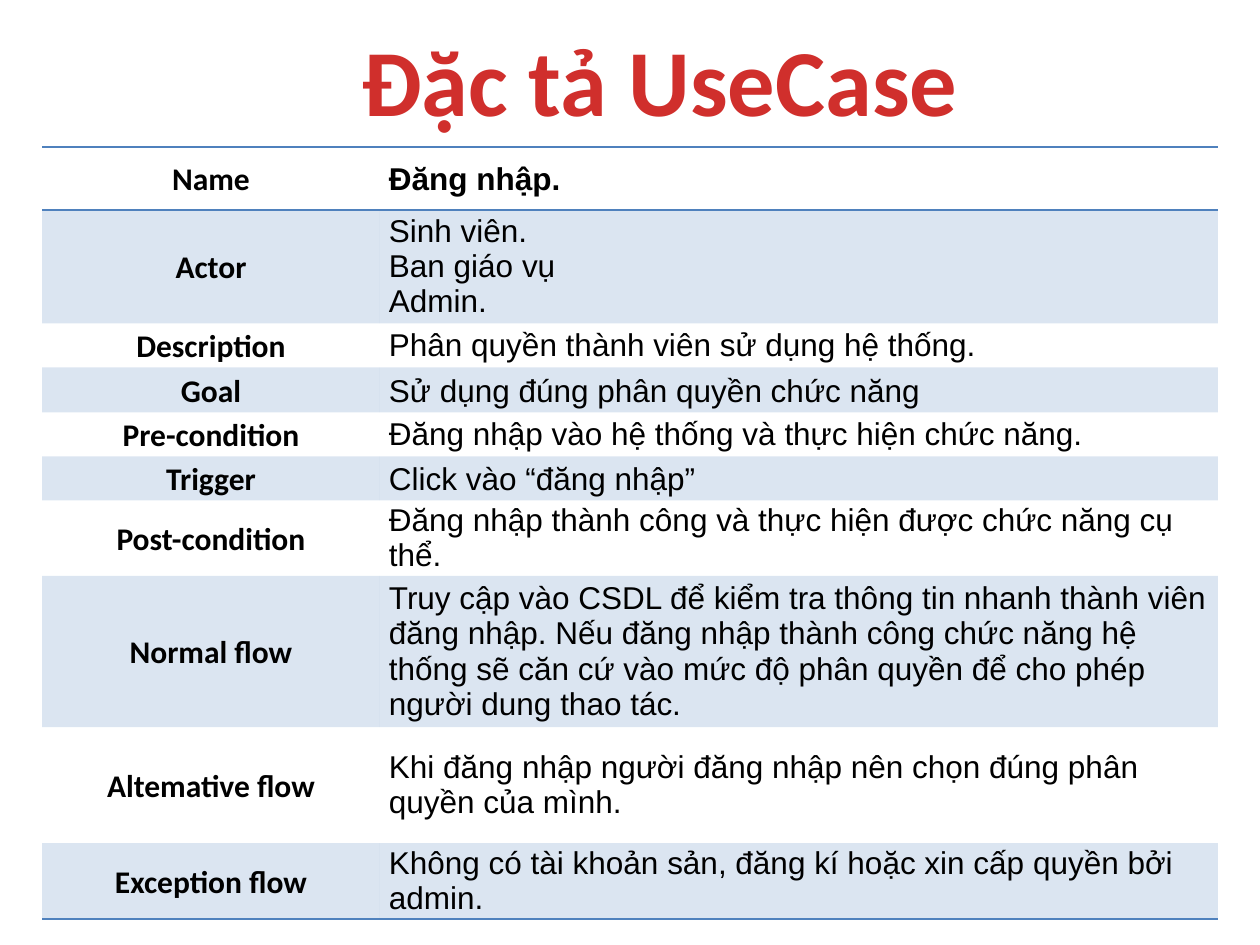
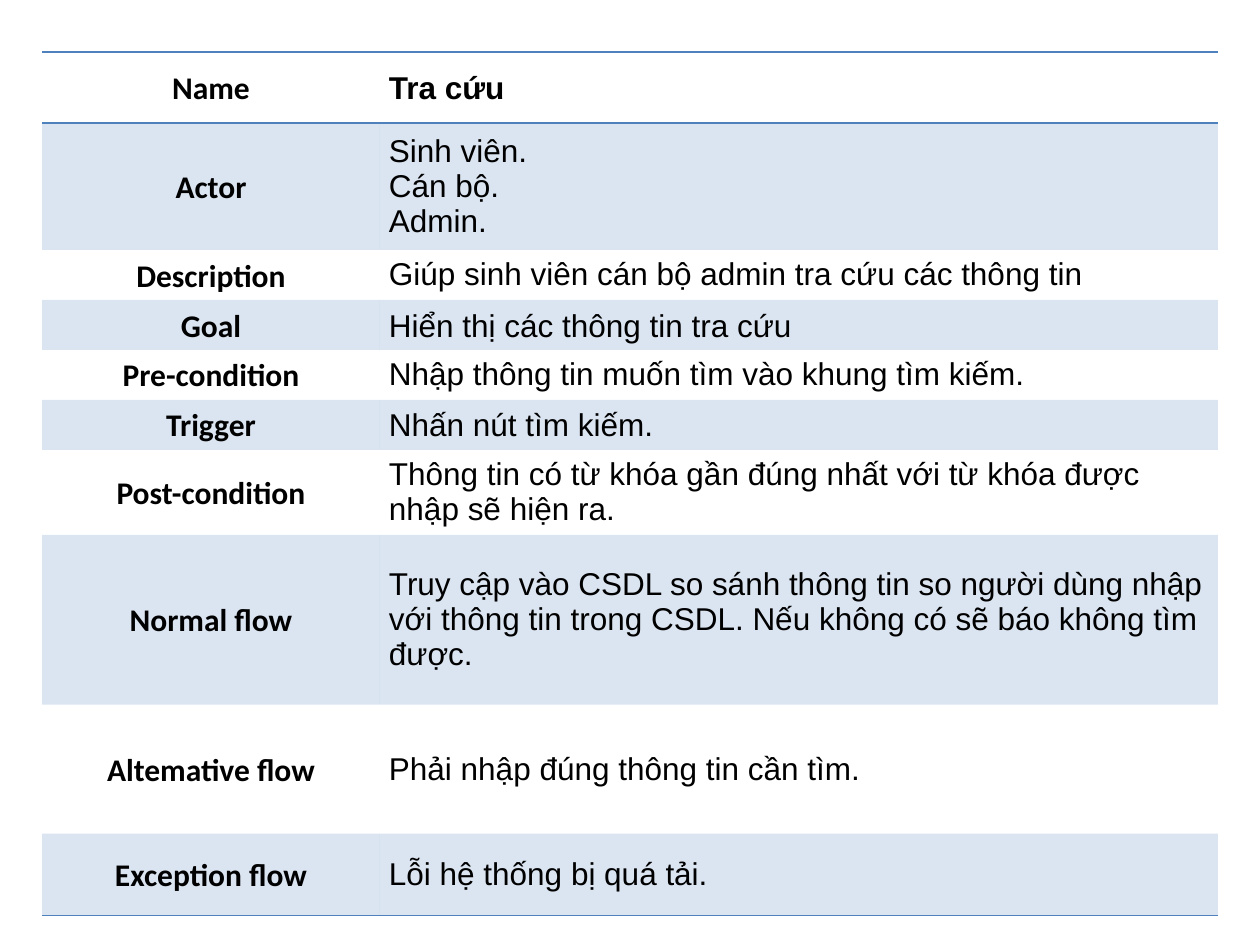
"""Builds two use case specification slides, for login and for lookup."""
from dataclasses import dataclass

from lxml import etree
from pptx import Presentation
from pptx.dml.color import RGBColor
from pptx.enum.text import MSO_ANCHOR, PP_ALIGN
from pptx.oxml.ns import qn
from pptx.util import Pt

LEFT, CENTER = PP_ALIGN.LEFT, PP_ALIGN.CENTER
MIDDLE = MSO_ANCHOR.MIDDLE
PX = 914400 / 126
NO_STYLE = "{2D5ABB26-0587-4C30-8999-92F81FD0307C}"


@dataclass(frozen=True)
class Theme:
    accent: str = "4F81BD"
    band_alpha: int = 20000
    title_color: str = "D02F2C"
    ink: str = "000000"
    label_font: str = "Calibri"
    value_font: str = "Arial"
    title_size: int = 54
    body_size: int = 18
    rule_width: int = 1
    line_spacing: float = 1.07


THEME = Theme()


def px(length):
    return round(length * PX)


def write(frame, text, *, font, size=THEME.body_size, color=THEME.ink,
          bold=False, align=LEFT, spacing=None):
    frame.word_wrap = True
    for index, line in enumerate(text.split("\n")):
        paragraph = frame.paragraphs[0] if index == 0 else frame.add_paragraph()
        paragraph.alignment = align
        paragraph.line_spacing = spacing
        run = paragraph.add_run()
        run.text = line
        run.font.name = font
        run.font.size = Pt(size)
        run.font.bold = bold
        run.font.color.rgb = RGBColor.from_string(color)


FIELDS = ["Name", "Actor", "Description", "Goal", "Pre-condition", "Trigger",
          "Post-condition", "Normal flow", "Altemative flow", "Exception flow"]
SPACED_FIELDS = {"Name", "Goal", "Trigger"}
TABLE_LEFT = 42
COLUMN_WIDTHS = [338, 838]

USE_CASES = [
    {
        "title": "Đặc tả UseCase",
        "top": 147,
        "heights": [63, 110, 44, 45, 44, 44, 74, 146, 116, 73],
        "values": [
            "Đăng nhập.",
            "Sinh viên.\nBan giáo vụ\nAdmin.",
            "Phân quyền thành viên sử dụng hệ thống.",
            "Sử dụng đúng phân quyền chức năng",
            "Đăng nhập vào hệ thống và thực hiện chức năng.",
            "Click vào “đăng nhập”",
            "Đăng nhập thành công và thực hiện được chức năng cụ thể.",
            "Truy cập vào CSDL để kiểm tra thông tin nhanh thành viên đăng nhập. "
            "Nếu đăng nhập thành công chức năng hệ thống sẽ căn cứ vào mức độ "
            "phân quyền để cho phép người dung thao tác.",
            "Khi đăng nhập người đăng nhập nên chọn đúng phân quyền của mình.",
            "Không có tài khoản sản, đăng kí hoặc xin cấp quyền bởi admin.",
        ],
    },
    {
        "title": None,
        "top": 52,
        "heights": [71, 127, 50, 50, 50, 50, 85, 170, 129, 82],
        "values": [
            "Tra cứu",
            "Sinh viên.\nCán bộ.\nAdmin.",
            "Giúp sinh viên cán bộ admin tra cứu các thông tin",
            "Hiển thị các thông tin tra cứu",
            "Nhập thông tin muốn tìm vào khung tìm kiếm.",
            "Nhấn nút tìm kiếm.",
            "Thông tin có từ khóa gần đúng nhất với từ khóa được nhập sẽ hiện ra.",
            "Truy cập vào CSDL so sánh thông tin so người dùng nhập với thông tin "
            "trong CSDL. Nếu không có sẽ báo không tìm được.",
            "Phải nhập đúng thông tin cần tìm.",
            "Lỗi hệ thống bị quá tải.",
        ],
    },
]

deck = Presentation()
deck.slide_width, deck.slide_height = px(1260), px(945)
blank_layout = deck.slide_layouts[6]

for use_case in USE_CASES:
    slide = deck.slides.add_slide(blank_layout)
    if use_case["title"]:
        title = slide.shapes.add_textbox(px(171), px(21), px(977), px(116))
        title.text_frame.vertical_anchor = MIDDLE
        write(title.text_frame, use_case["title"], font=THEME.label_font,
              size=THEME.title_size, color=THEME.title_color, bold=True, align=CENTER)

    specification = slide.shapes.add_table(
        len(FIELDS), len(COLUMN_WIDTHS), px(TABLE_LEFT), px(use_case["top"]),
        px(sum(COLUMN_WIDTHS)), px(sum(use_case["heights"]))).table
    specification._tbl.tblPr.find(qn("a:tableStyleId")).text = NO_STYLE
    for column, width in zip(specification.columns, COLUMN_WIDTHS):
        column.width = px(width)

    for row_index, field in enumerate(FIELDS):
        row = specification.rows[row_index]
        row.height = px(use_case["heights"][row_index])
        is_header = row_index == 0
        is_last = row_index == len(FIELDS) - 1
        label_cell, value_cell = row.cells
        write(label_cell.text_frame, field, font=THEME.label_font, bold=True,
              align=CENTER, spacing=THEME.line_spacing)
        write(value_cell.text_frame, use_case["values"][row_index],
              font=THEME.value_font, bold=is_header,
              spacing=THEME.line_spacing if field in SPACED_FIELDS else None)

        for cell in (label_cell, value_cell):
            cell.vertical_anchor = MIDDLE
            cell.margin_left = cell.margin_right = px(9)
            cell.margin_top = cell.margin_bottom = 0
            if row_index % 2:
                cell.fill.solid()
                cell.fill.fore_color.rgb = RGBColor.from_string(THEME.accent)
                band = cell._tc.tcPr.find(".//" + qn("a:srgbClr"))
                etree.SubElement(band, qn("a:alpha"), val=str(THEME.band_alpha))
            else:
                cell.fill.background()
            edges = ["a:lnB", "a:lnT"] if is_header else ["a:lnB"] if is_last else []
            for edge in edges:
                rule = etree.Element(qn(edge), w=str(Pt(THEME.rule_width)))
                rule_fill = etree.SubElement(rule, qn("a:solidFill"))
                etree.SubElement(rule_fill, qn("a:srgbClr"), val=THEME.accent)
                cell._tc.tcPr.insert(0, rule)

deck.save("out.pptx")
